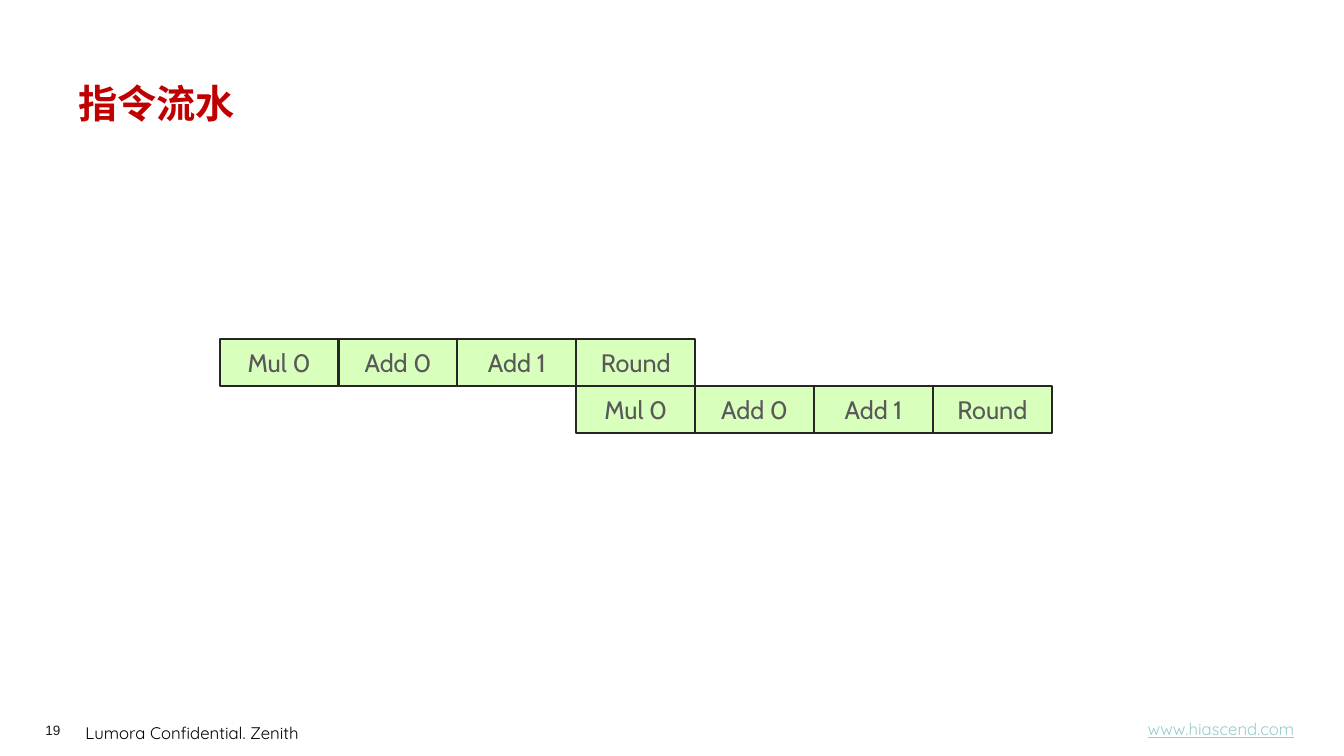
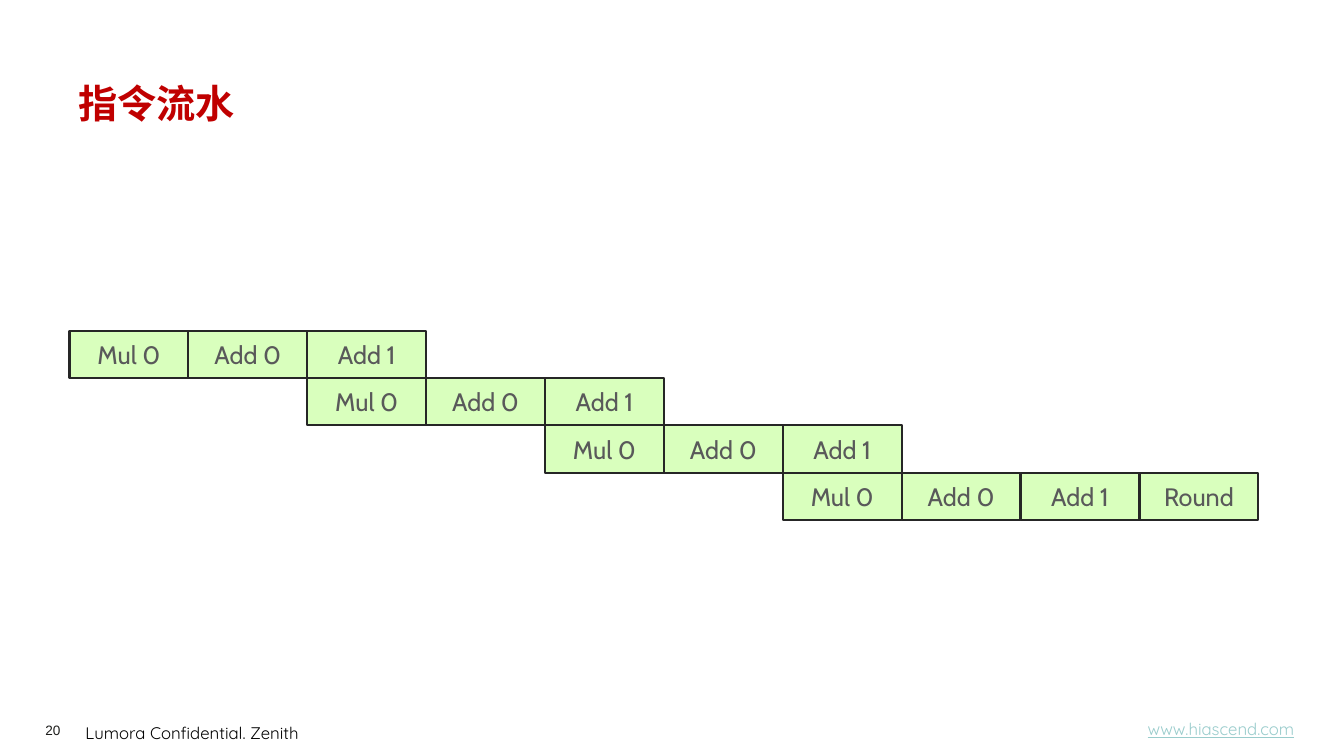
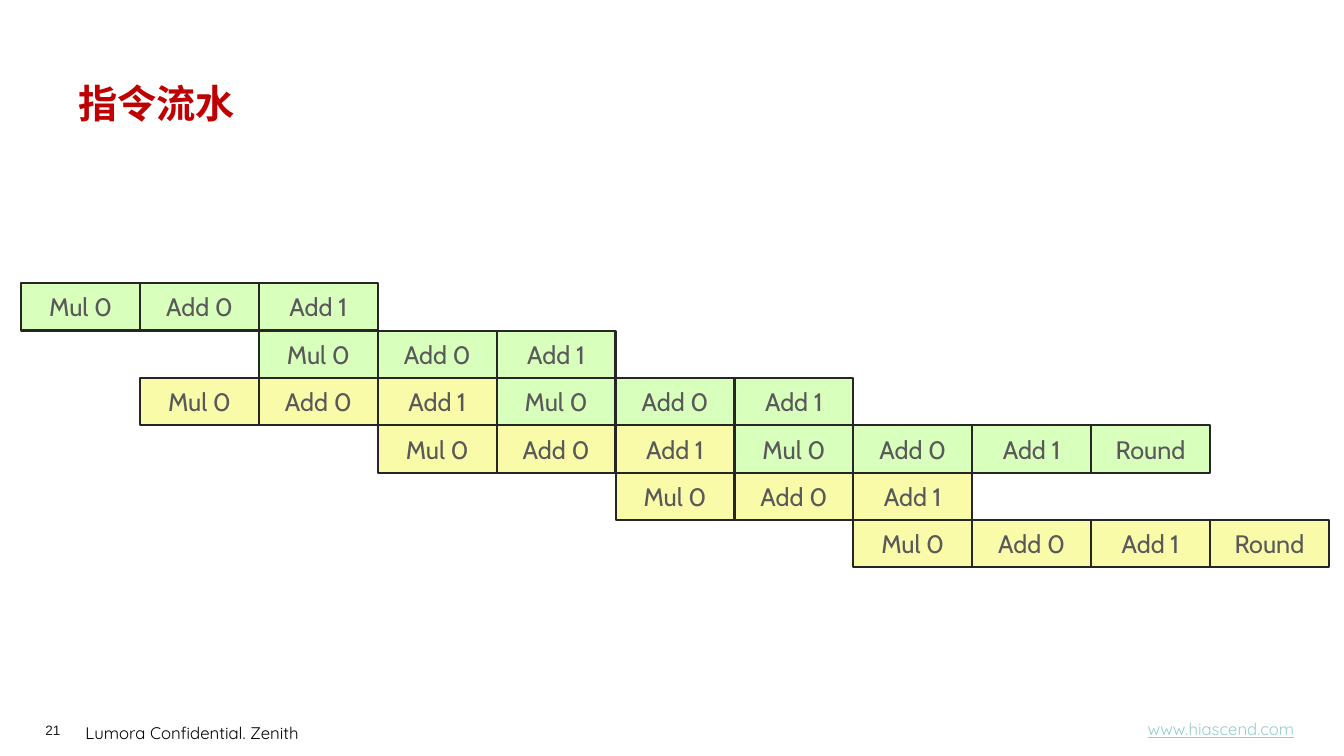
import pptx
import pptx.dml.color
import pptx.enum.shapes
import pptx.enum.text
import pptx.util

RGBColor = pptx.dml.color.RGBColor
ALIGN = pptx.enum.text.PP_ALIGN
ANCHOR = pptx.enum.text.MSO_ANCHOR

PX = 9144
RED = RGBColor(0xC0, 0x00, 0x00)
BLACK = RGBColor(0x00, 0x00, 0x00)
INK = RGBColor(0x1D, 0x1D, 0x1B)
GREY = RGBColor(0x59, 0x59, 0x5A)
EDGE = RGBColor(0x26, 0x26, 0x26)
TEAL = RGBColor(0x99, 0xCC, 0xCC)
GREEN = RGBColor(0xD9, 0xFF, 0xBD)
YELLOW = RGBColor(0xF9, 0xFB, 0xA8)

CELL_W, CELL_H = 118, 47
PART = ["Mul 0", "Add 0", "Add 1"]
FULL = PART + ["Round"]
LOOP = [PART, PART, PART, FULL]


def scale(*sizes):
    """Turn px lengths into EMU."""
    return [size * PX for size in sizes]


def write(frame, words, size, color, font="Quicksand", bold=False, under=False,
          align=ALIGN.LEFT, anchor=ANCHOR.TOP, lead=None, inset=None):
    """Put formatted text into a text frame."""
    frame.word_wrap = True
    frame.vertical_anchor = anchor
    if inset is not None:
        frame.margin_left = frame.margin_right = inset * PX
        frame.margin_top = frame.margin_bottom = inset * PX
    para = frame.paragraphs[0]
    para.alignment = align
    if lead:
        para.line_spacing = lead
    run = para.add_run()
    run.text = words
    run.font.name = font
    run.font.size = pptx.util.Pt(size)
    run.font.bold = bold
    run.font.underline = under
    run.font.color.rgb = color


def label(slide, area, words, **style):
    """Add a text box."""
    box = slide.shapes.add_textbox(*scale(*area))
    write(box.text_frame, words, **style)


def cell(slide, left, top, words, fill):
    """Add one pipeline stage."""
    kind = pptx.enum.shapes.MSO_SHAPE.RECTANGLE
    box = slide.shapes.add_shape(kind, *scale(left, top, CELL_W, CELL_H))
    box.shadow.inherit = False
    box.fill.solid()
    box.fill.fore_color.rgb = fill
    box.line.color.rgb = EDGE
    box.line.width = pptx.util.Pt(1.5)
    write(box.text_frame, words, size=18, color=GREY, font="Cabin",
          align=ALIGN.CENTER, anchor=ANCHOR.MIDDLE)


def chain(slide, left, top, rows, fill):
    """Stack rows, each starting below the last stage of the one above."""
    for row in rows:
        for index, words in enumerate(row):
            cell(slide, left + index * CELL_W, top, words, fill)
        left += (len(row) - 1) * CELL_W
        top += CELL_H


def page(deck, number):
    """Add a slide with the shared title and footer."""
    slide = deck.slides.add_slide(deck.slide_layouts[6])
    label(slide, (75, 708, 313, 32), "Lumora Confidential. Zenith",
          size=12, color=BLACK, lead=1.2)
    label(slide, (45, 716, 55, 16), str(number),
          size=9.7, color=INK, font="Arial", inset=0)
    label(slide, (1104, 702, 216, 43), "www.hiascend.com", size=12, color=TEAL,
          under=True, align=ALIGN.CENTER, anchor=ANCHOR.MIDDLE)
    label(slide, (68, 74, 1199, 64), "指令流水", size=28, color=RED, bold=True)
    return slide


def main():
    """Build the deck."""
    deck = pptx.Presentation()
    deck.slide_width, deck.slide_height = scale(1334, 750)
    pages = [
        [(218, 336, [FULL, FULL], GREEN)],
        [(69, 328, LOOP, GREEN)],
        [(21, 281, LOOP, GREEN),
         (21 + CELL_W, 281 + 2 * CELL_H, LOOP, YELLOW)],
    ]
    for number, chains in enumerate(pages, 19):
        slide = page(deck, number)
        for left, top, rows, fill in chains:
            chain(slide, left, top, rows, fill)
    deck.save("out.pptx")


if __name__ == "__main__":
    main()
